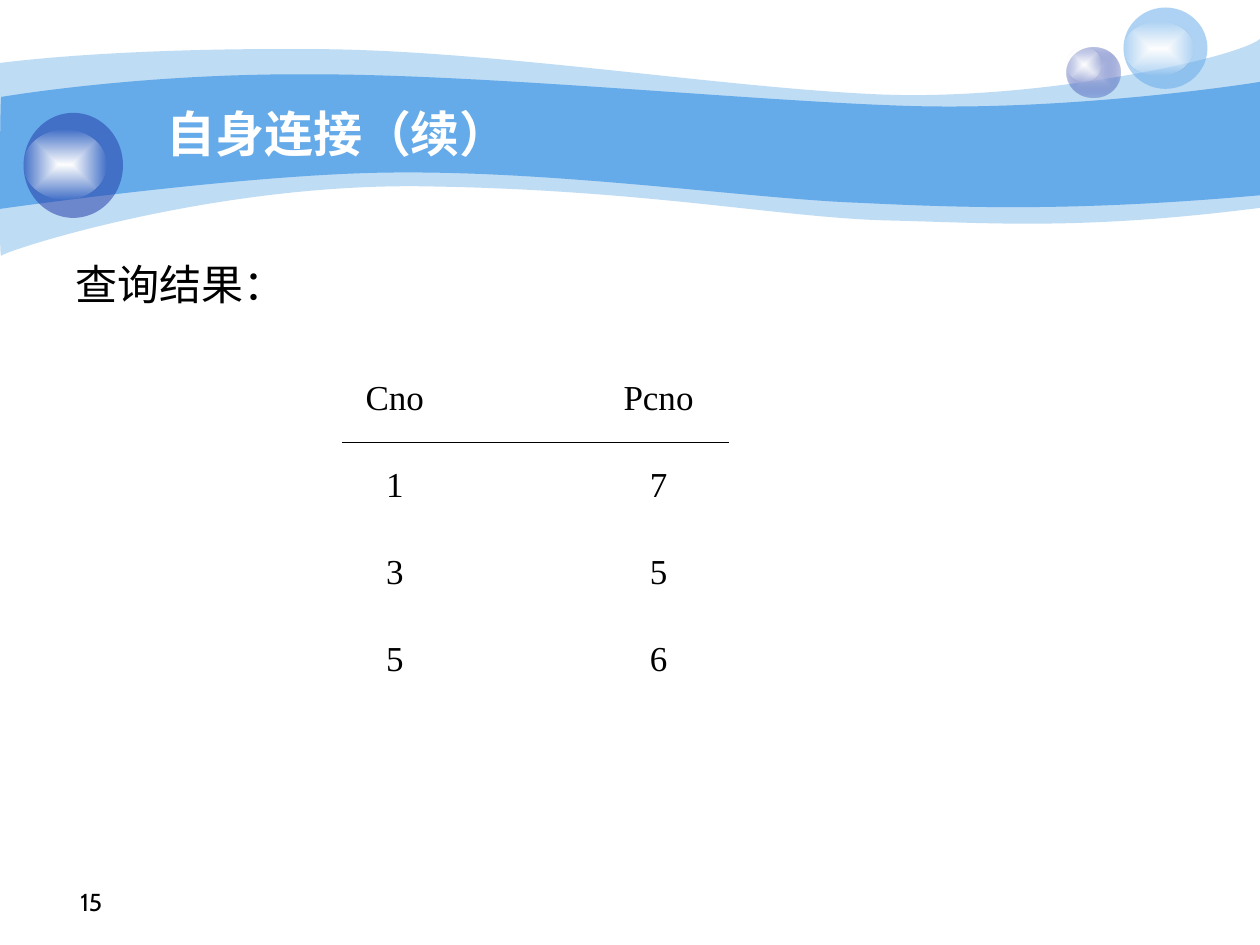
from lxml import etree
from pptx import Presentation
from pptx.dml.color import RGBColor
from pptx.enum.shapes import MSO_CONNECTOR, MSO_SHAPE
from pptx.enum.text import MSO_ANCHOR, PP_ALIGN
from pptx.oxml import parse_xml
from pptx.oxml.ns import nsdecls, qn
from pptx.util import Pt

BLACK = RGBColor(0x00, 0x00, 0x00)
WHITE = RGBColor(0xFF, 0xFF, 0xFF)
SKY = RGBColor(0x65, 0xAA, 0xE9)
NAVY = RGBColor(0x23, 0x3D, 0xA9)
LAVENDER = RGBColor(0xC7, 0xCE, 0xE9)
OVAL = MSO_SHAPE.OVAL
STRAIGHT = MSO_CONNECTOR.STRAIGHT
TOP, MIDDLE, BOTTOM = MSO_ANCHOR.TOP, MSO_ANCHOR.MIDDLE, MSO_ANCHOR.BOTTOM
LEFT, CENTER, RIGHT = PP_ALIGN.LEFT, PP_ALIGN.CENTER, PP_ALIGN.RIGHT

OUTER_WAVE = [
    [(0, 36)],
    [(17.3, 33.8), (77, 27.4), (177.8, 28.1)],
    [(277.9, 28.1), (414, 50.4), (503.3, 54)],
    [(591.8, 57.6), (705.6, 33.8), (720, 22.3)],
    [(720, 118.8)],
    [(617.8, 131.8), (566.6, 127.4), (507.6, 126)],
    [(447.8, 124.6), (370.8, 108.7), (247, 106.6)],
    [(123.8, 103.7), (2.9, 143.3), (0.7, 146.2)],
    [(-0.7, 149.8), (0, 54), (0, 36)],
]
INNER_WAVE = [
    [(0.7, 55.4)],
    [(1.4, 55.4), (79.2, 41.8), (178.6, 42.5)],
    [(277.9, 42.5), (428.4, 57.6), (517, 60.5)],
    [(605.5, 63.4), (702.7, 49.7), (720, 46.8)],
    [(720, 111.6)],
    [(614.2, 121), (550.8, 118.8), (491, 115.9)],
    [(431.3, 113.8), (321.8, 97.9), (228.2, 98.6)],
    [(146.2, 98.6), (-1.4, 119.5), (-0.7, 119.5)],
    [(0, 119.5), (0, 55.4), (0.7, 55.4)],
]
RESULT_ROWS = [("Cno", "Pcno"), ("1", "7"), ("3", "5"), ("5", "6")]


def points(box):
    """Turn a box of plain numbers into lengths."""
    return [Pt(value) for value in box]


def paint(shape, color, opacity=100):
    """Fill a shape with one colour, without line or shadow."""
    shape.shadow.inherit = False
    shape.line.fill.background()
    shape.fill.solid()
    shape.fill.fore_color.rgb = color
    if opacity < 100:
        color_element = shape._element.spPr.find(qn("a:solidFill"))[0]
        etree.SubElement(color_element, qn("a:alpha"), val=str(opacity * 1000))


def paint_glow(shape, center, edge, edge_opacity):
    """Fill a shape with a gradient running from its centre to its edge."""
    paint(shape, center)
    solid = shape._element.spPr.find(qn("a:solidFill"))
    gradient = parse_xml(
        f'<a:gradFill {nsdecls("a")} rotWithShape="1"><a:gsLst>'
        f'<a:gs pos="0"><a:srgbClr val="{center}"/></a:gs>'
        f'<a:gs pos="100000"><a:srgbClr val="{edge}">'
        f'<a:alpha val="{edge_opacity * 1000}"/></a:srgbClr></a:gs></a:gsLst>'
        '<a:path path="rect"><a:fillToRect l="50000" t="50000" r="50000" b="50000"/>'
        '</a:path></a:gradFill>'
    )
    solid.getparent().replace(solid, gradient)


def add_wave(slide, box, outline, color, opacity=100):
    """Draw a wavy band of cubic curves and straight sides relative to the box."""
    left, top = box[:2]
    segments = [[(Pt(left + x), Pt(top + y)) for x, y in part] for part in outline]
    builder = slide.shapes.build_freeform(*segments[0][0])
    for segment in segments[1:]:
        builder.add_line_segments(segment, close=False)
    shape = builder.convert_to_shape()
    lines = iter(list(shape._element.iter(qn("a:lnTo"))))
    for segment in segments[1:]:
        first, *others = [next(lines) for _ in segment]
        if others:
            first.tag = qn("a:cubicBezTo")
            for line in others:
                first.append(line[0])
                line.getparent().remove(line)
    etree.SubElement(first.getparent(), qn("a:close"))
    paint(shape, color, opacity)


def add_orb(slide, box, glow_box, color, opacity, center=None):
    """Draw a ball with a highlight placed relative to its box."""
    group = slide.shapes.add_group_shape()
    ball = group.shapes.add_shape(OVAL, *points(box))
    if center is None:
        paint(ball, color, opacity)
    else:
        paint_glow(ball, center, color, opacity)
    glow_left, glow_top, width, height = glow_box
    highlight = group.shapes.add_shape(
        OVAL, *points((box[0] + glow_left, box[1] + glow_top, width, height)))
    paint_glow(highlight, WHITE, WHITE, 0)


def add_banner(slide, box):
    """Draw the two waves and the three balls of the banner."""
    left, top = box[:2]
    add_wave(slide, box, OUTER_WAVE, SKY, 41)
    add_wave(slide, box, INNER_WAVE, SKY)
    add_orb(slide, (left + 609.5, top + 27, 31, 29), (0, 0, 20, 19.5), NAVY, 31, LAVENDER)
    add_orb(slide, (left + 642, top + 4.3, 48, 46.5), (0, 8, 40, 31), SKY, 53)
    add_orb(slide, (left + 13.5, top + 64.5, 56.8, 60), (0, 9.7, 47.5, 40), NAVY, 53)


def write(paragraph, text, size, font, color, align=LEFT, bold=False):
    """Add one formatted run to a paragraph."""
    paragraph.alignment = align
    run = paragraph.add_run()
    run.text = text
    run.font.size = Pt(size)
    run.font.name = font
    run.font.bold = bold
    run.font.color.rgb = color


def add_label(slide, box, anchor, *style, space_before=0, **options):
    """Place a wrapped line of text in the box."""
    frame = slide.shapes.add_textbox(*points(box)).text_frame
    frame.word_wrap = True
    frame.vertical_anchor = anchor
    paragraph = frame.paragraphs[0]
    paragraph.space_before = Pt(space_before)
    write(paragraph, *style, **options)


def add_result_table(slide, box):
    """Place the query result with a rule under its header."""
    left, top, width, height = box
    table = slide.shapes.add_table(
        len(RESULT_ROWS), len(RESULT_ROWS[0]), *points(box)).table
    table.first_row = table.horz_banding = False
    for row_index, values in enumerate(RESULT_ROWS):
        for column_index, value in enumerate(values):
            cell = table.cell(row_index, column_index)
            cell.fill.background()
            cell.vertical_anchor = TOP
            write(cell.text_frame.paragraphs[0], value, 20, "Times New Roman", BLACK, CENTER)
            properties = cell._tc.get_or_add_tcPr()
            for index, side in enumerate(("lnL", "lnR", "lnT", "lnB")):
                border = parse_xml(f'<a:{side} {nsdecls("a")} w="0"><a:noFill/></a:{side}>')
                properties.insert(index, border)
    rule_top = Pt(top + 39.75)
    rule = slide.shapes.add_connector(
        STRAIGHT, Pt(left + 45.5), rule_top, Pt(left + width - 35), rule_top)
    rule.line.color.rgb = BLACK
    rule.line.width = Pt(0.75)
    etree.SubElement(rule._element.spPr, qn("a:effectLst"))


def main():
    """Build and save the slide."""
    presentation = Presentation()
    presentation.slide_width, presentation.slide_height = Pt(720), Pt(540)
    slide = presentation.slides.add_slide(presentation.slide_layouts[6])
    add_banner(slide, (0, 0, 720, 150))
    add_label(slide, (19.5, 491, 46, 36), BOTTOM, "15", 14, "Cabin", BLACK, align=RIGHT)
    add_label(slide, (88, 54, 566, 44.5), MIDDLE, "自身连接（续）", 28, "Arial", WHITE, bold=True)
    add_label(slide, (36, 144, 318, 47), TOP, "查询结果：", 24, "Arial", BLACK, space_before=6)
    add_result_table(slide, (150.2, 213, 301.5, 199))
    presentation.save("out.pptx")


if __name__ == "__main__":
    main()
